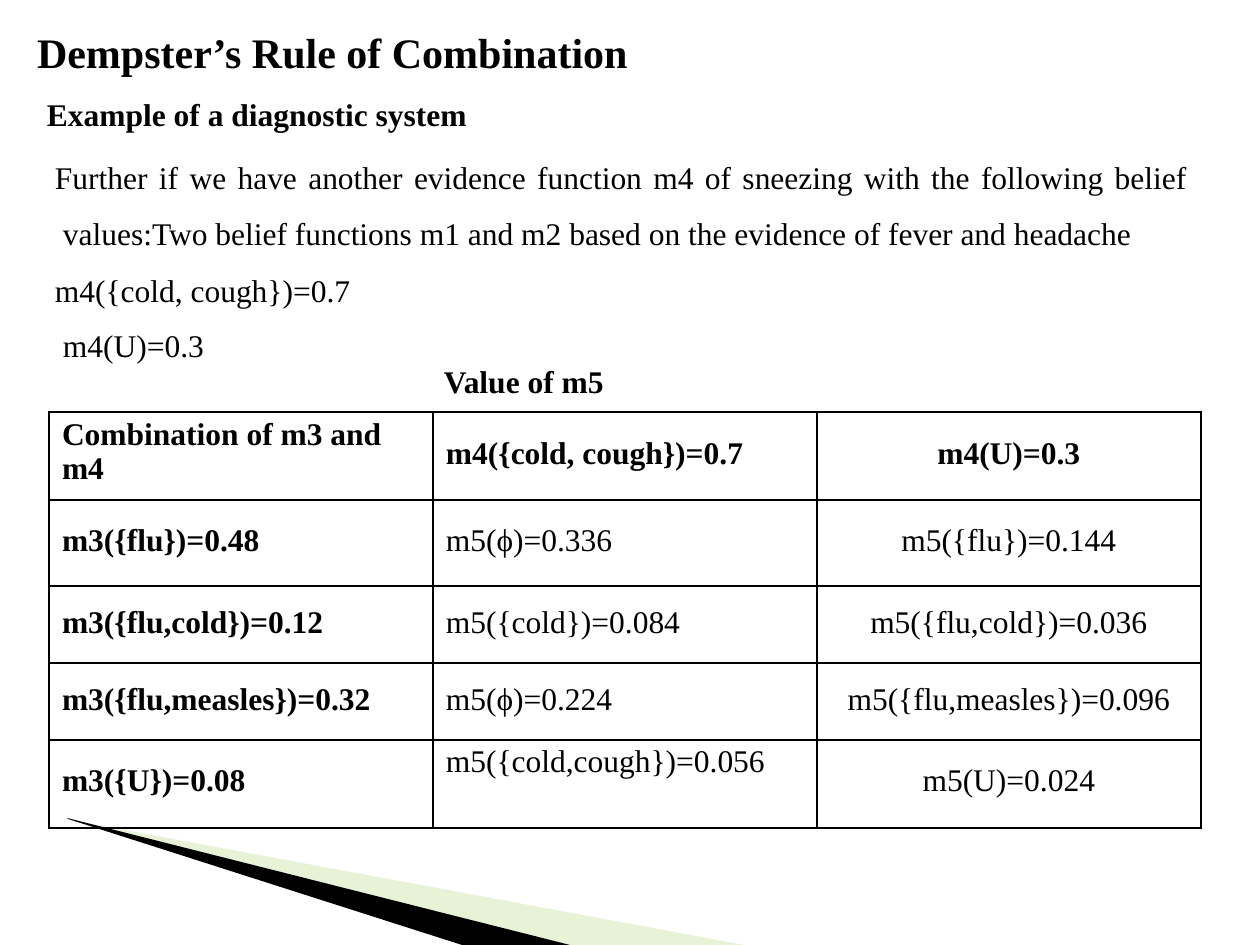
from lxml import etree
from pptx import Presentation, util as u
from pptx.dml.color import RGBColor
from pptx.enum import text
from pptx.oxml.ns import qn

THEME = {
    "font": "Times New Roman",
    "ink": "000000",
    "pale": "C3E09B",
    "pale_alpha": 40,
    "title": 24,
    "body": 18,
    "border": 1,
}
SCALE = 914400 / 126  # EMU in one px
LEFT, CENTER, JUSTIFY = (text.PP_ALIGN.LEFT, text.PP_ALIGN.CENTER,
                         text.PP_ALIGN.JUSTIFY)


def px(n):
    return u.Emu(round(n * SCALE))


def write(tf, lines):
    """Fill a frame with (words, bold, size, paragraph format, left, hang)."""
    tf.word_wrap = True
    for i, (words, bold, size, fmt, left, hang) in enumerate(lines):
        p = tf.add_paragraph() if i else tf.paragraphs[0]
        for name, value in fmt.items():
            setattr(p, name, value)
        pPr = p._p.get_or_add_pPr()
        pPr.set("marL", str(px(left)))
        pPr.set("indent", str(px(-hang)))
        r = p.add_run()
        r.text = words
        for name, value in {"name": THEME["font"], "size": u.Pt(size),
                            "bold": bold}.items():
            setattr(r.font, name, value)
        r.font.color.rgb = RGBColor.from_string(THEME["ink"])


prs = Presentation()
prs.slide_width, prs.slide_height = px(1260), px(945)
s = prs.slides.add_slide(prs.slide_layouts[6])

# Corner wedges
wedges = [
    ("pale", [(69, 819), (69, 820), (570, 945), (744, 945), (81, 822)]),
    ("ink", [(67, 818), (68, 819), (462, 945), (570, 945)]),
]
for colour, points in wedges:
    builder = s.shapes.build_freeform(*points[0], scale=SCALE)
    builder.add_line_segments(points[1:], close=True)
    sp = builder.convert_to_shape()
    sp.shadow.inherit = False
    sp.fill.solid()
    sp.fill.fore_color.rgb = RGBColor.from_string(THEME[colour])
    sp.line.fill.background()
    if colour == "pale":
        clr = sp._element.spPr.find(qn("a:solidFill"))[0]
        etree.SubElement(clr, qn("a:alpha"),
                         val=str(THEME["pale_alpha"] * 1000))

# Title and body text
size = THEME["body"]
loose = {"alignment": JUSTIFY, "line_spacing": 1.5, "space_before": u.Pt(3.5)}
fixed = {"line_spacing": u.Pt(20.6)}
boxes = [
    ((35, 25, 600, 54), 0, [
        ("Dempster’s Rule of Combination", True, THEME["title"],
         {"space_before": u.Pt(1)}, 2, 0),
    ]),
    ((45, 94, 1147, 309), 4, [
        ("Example of a diagnostic system", True, size,
         {"space_before": u.Pt(1)}, 2, 0),
        ("Further if we have another evidence function m4 of sneezing with "
         "the following belief values:Two belief functions m1 and m2 based "
         "on the evidence of fever and headache", False, size, loose, 18, 8),
        ("m4({cold, cough})=0.7", False, size, {"line_spacing": 1.5}, 10, 0),
        ("m4(U)=0.3", False, size,
         {**fixed, "space_before": u.Pt(10.8)}, 18, 0),
        ("Value of m5", True, size, fixed, 399, 0),
    ]),
]
for place, right, lines in boxes:
    tf = s.shapes.add_textbox(*map(px, place)).text_frame
    for name, value in {"margin_left": 0, "margin_top": px(1),
                        "margin_right": px(right),
                        "margin_bottom": 0}.items():
        setattr(tf, name, value)
    write(tf, lines)

# Combination table: row height, top inset, cells
rows = [
    (88, 24, ["Combination of m3 and\nm4", "m4({cold, cough})=0.7",
              "m4(U)=0.3"]),
    (86, 23, ["m3({flu})=0.48", "m5(ϕ)=0.336", "m5({flu})=0.144"]),
    (77, 19, ["m3({flu,cold})=0.12", "m5({cold})=0.084",
              "m5({flu,cold})=0.036"]),
    (77, 19, ["m3({flu,measles})=0.32", "m5(ϕ)=0.224",
              "m5({flu,measles})=0.096"]),
    (88, 24, ["m3({U})=0.08", "m5({cold,cough})=0.056", "m5(U)=0.024"]),
]
top_cells = {(0, 0), (4, 1)}
col_width = 384
table = s.shapes.add_table(len(rows), 3, px(49), px(412), px(3 * col_width),
                           px(sum(row[0] for row in rows))).table
table.first_row = table.horz_banding = False
for col in table.columns:
    col.width = px(col_width)
for i, (height, inset, values) in enumerate(rows):
    table.rows[i].height = px(height)
    for j, value in enumerate(values):
        cell = table.cell(i, j)
        top = 5 if (i, j) in top_cells else inset
        for name, margin in {"left": 0, "top": top, "right": 0,
                             "bottom": 0}.items():
            setattr(cell, f"margin_{name}", px(margin))
        align, left = (CENTER, 0) if j == 2 else (LEFT, 13)
        write(cell.text_frame, [
            (line, i == 0 or j == 0, size, {"alignment": align}, left, 0)
            for line in value.split("\n")])
        tcPr = cell._tc.get_or_add_tcPr()
        for side in ("lnL", "lnR", "lnT", "lnB"):
            ln = etree.SubElement(tcPr, qn(f"a:{side}"),
                                  w=str(u.Pt(THEME["border"])))
            fill = etree.SubElement(ln, qn("a:solidFill"))
            etree.SubElement(fill, qn("a:srgbClr"), val=THEME["ink"])
        cell.fill.background()

prs.save("out.pptx")
